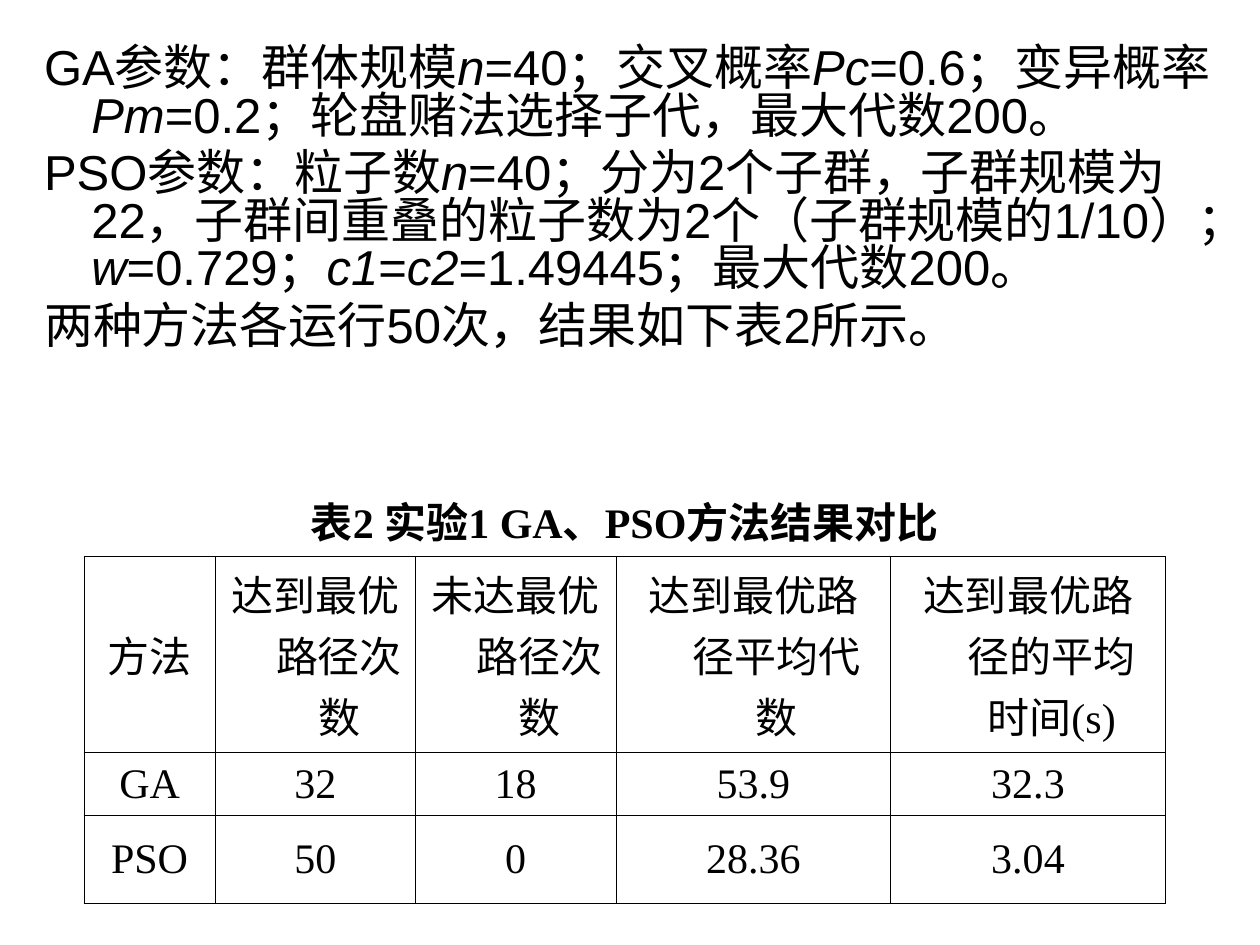
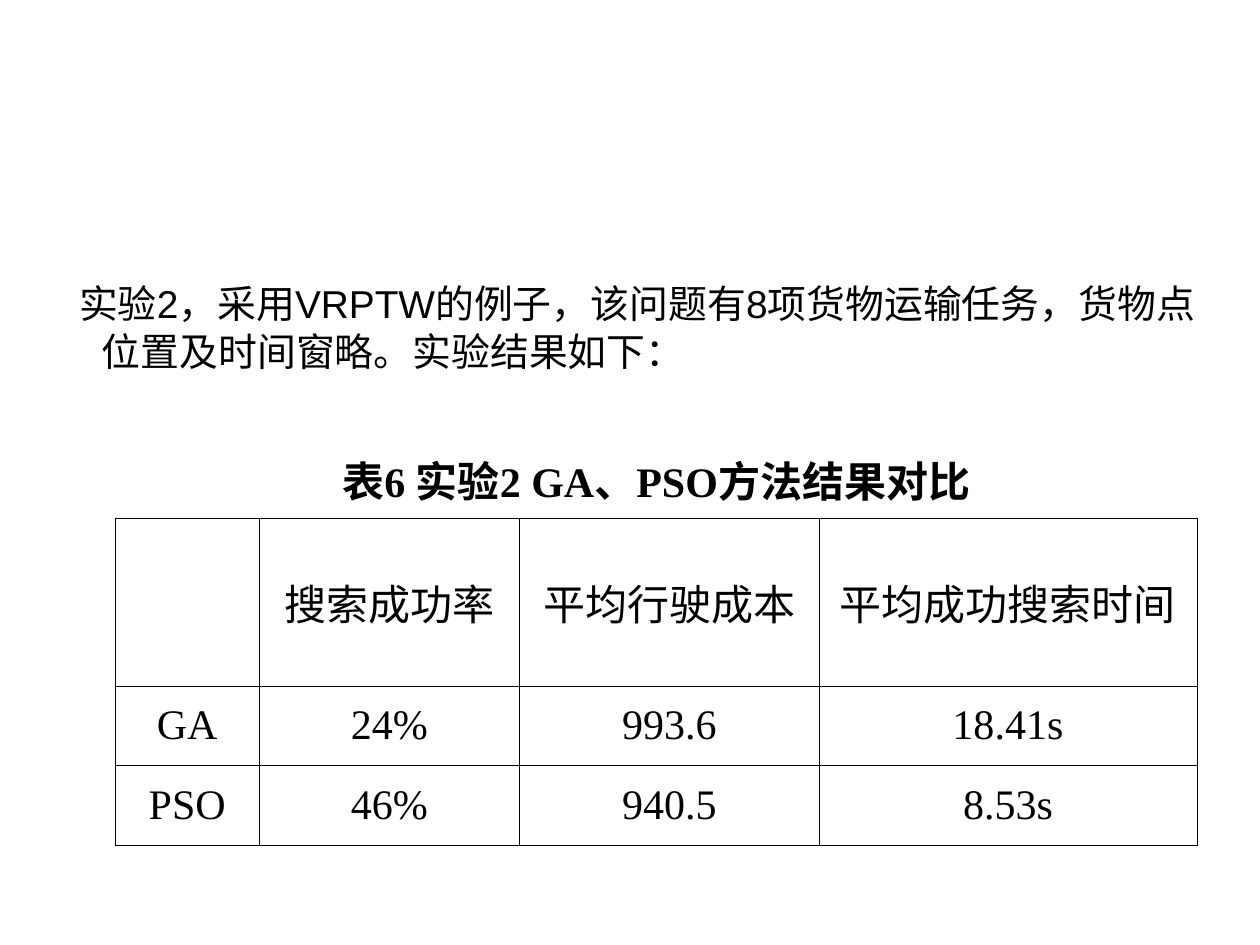
from lxml import etree
from pptx import Presentation
from pptx.dml.color import RGBColor
from pptx.enum.lang import MSO_LANGUAGE_ID
from pptx.enum.text import MSO_ANCHOR, MSO_AUTO_SIZE, PP_ALIGN
from pptx.oxml.ns import qn
from pptx.util import Pt

BLACK = RGBColor(0, 0, 0)
SANS, SERIF = "Arial", "Times New Roman"
LEFT, CENTER = PP_ALIGN.LEFT, PP_ALIGN.CENTER
MIDDLE, TOP = MSO_ANCHOR.MIDDLE, MSO_ANCHOR.TOP
NO_FIT = MSO_AUTO_SIZE.NONE
CHINESE = MSO_LANGUAGE_ID.SIMPLIFIED_CHINESE
HANG = 27       # hanging indent shared by lists and cells
RULE = 0.45     # table line width
SIDES = ("L", "R", "T", "B")

# Asterisks enclose italic words
PARAMS = [
    "GA参数：群体规模*n*=40；交叉概率*Pc*=0.6；变异概率*Pm*=0.2；"
    "轮盘赌法选择子代，最大代数200。",
    "PSO参数：粒子数*n*=40；分为2个子群，子群规模为22，"
    "子群间重叠的粒子数为2个（子群规模的1/10）；"
    "*w*=0.729；*c1*=*c2*=1.49445；最大代数200。",
    "两种方法各运行50次，结果如下表2所示。",
]
TASK = ["实验2，采用VRPTW的例子，该问题有8项货物运输任务，"
        "货物点位置及时间窗略。实验结果如下："]
PATHS = [
    ["方法", "达到最优路径次数", "未达最优路径次数",
     "达到最优路径平均代数", "达到最优路径的平均时间(s)"],
    ["GA", "32", "18", "53.9", "32.3"],
    ["PSO", "50", "0", "28.36", "3.04"],
]
COSTS = [
    ["", "搜索成功率", "平均行驶成本", "平均成功搜索时间"],
    ["GA", "24%", "993.6", "18.41s"],
    ["PSO", "46%", "940.5", "8.53s"],
]


def write(para, text, size=24, font=SERIF, bold=False, align=LEFT,
          first=-HANG, pitch=None, before=0):
    """Fill a paragraph, with italics between asterisks."""
    props = para._p.get_or_add_pPr()
    props.set("marL", str(Pt(HANG)))
    props.set("indent", str(Pt(first)))
    etree.SubElement(props, qn("a:buNone"))
    para.alignment = align
    para.space_before = Pt(before)
    if pitch:
        para.line_spacing = Pt(pitch)
    for i, part in enumerate(text.split("*")):
        if part:
            run = para.add_run()
            run.text = part
            face = run.font
            face.name, face.size = font, Pt(size)
            face.bold, face.italic = bold, i % 2 == 1
            face.color.rgb = BLACK
            face.language_id = CHINESE


def add_list(slide, box, lines, **style):
    """Place the body placeholder and write its paragraphs."""
    body = slide.placeholders[1]
    body.left, body.top, body.width, body.height = map(Pt, box)
    frame = body.text_frame
    frame.auto_size, frame.vertical_anchor = NO_FIT, TOP
    for i, line in enumerate(lines):
        para = frame.add_paragraph() if i else frame.paragraphs[0]
        write(para, line, font=SANS, pitch=27, before=6 if i else 0, **style)


def set_lines(cell, shown):
    """Rule the named sides of a cell and clear the others."""
    props = cell._tc.get_or_add_tcPr()
    for i, side in enumerate(SIDES):
        line = etree.Element(qn("a:ln" + side), w=str(Pt(RULE)))
        if side in shown:
            fill = etree.SubElement(line, qn("a:solidFill"))
            etree.SubElement(fill, qn("a:srgbClr"), val=str(BLACK))
        else:
            etree.SubElement(line, qn("a:noFill"))
        props.insert(i, line)


def add_grid(slide, left, top, widths, heights, title, rows):
    """Add a table whose unframed first row holds its title."""
    count = len(widths)
    grid = slide.shapes.add_table(
        len(heights), count, Pt(left), Pt(top),
        Pt(sum(widths)), Pt(sum(heights))).table
    grid.first_row = grid.horz_banding = False
    for col, width in zip(grid.columns, widths):
        col.width = Pt(width)
    for row, height in zip(grid.rows, heights):
        row.height = Pt(height)
    grid.cell(0, 0).merge(grid.cell(0, count - 1))
    for r, texts in enumerate([[title] + [""] * (count - 1)] + rows):
        for c, text in enumerate(texts):
            cell = grid.cell(r, c)
            cell.fill.background()
            cell.vertical_anchor = MIDDLE
            set_lines(cell, SIDES if r else "B")
            write(cell.text_frame.paragraphs[0], text,
                  bold=r == 0, align=CENTER)


def add_page(deck):
    """Add a slide that keeps only its body placeholder."""
    slide = deck.slides.add_slide(deck.slide_layouts[1])
    title = slide.shapes.title._element
    title.getparent().remove(title)
    return slide


def main():
    deck = Presentation()
    deck.slide_width, deck.slide_height = Pt(720), Pt(540)

    # Experiment 1: parameters and results
    slide = add_page(deck)
    add_list(slide, (18, 24, 684, 222), PARAMS, size=28)
    add_grid(slide, 48, 276, [75, 114.5, 114.5, 157, 157],
             [42, 112, 36, 50], "表2 实验1 GA、PSO方法结果对比", PATHS)

    # Experiment 2: task and results
    slide = add_page(deck)
    add_list(slide, (24, 156, 672, 62), TASK, size=22.2, first=-13)
    add_grid(slide, 66, 252, [82, 149, 171, 216],
             [44, 96, 45.5, 45.5], "表6 实验2 GA、PSO方法结果对比", COSTS)

    deck.save("out.pptx")


if __name__ == "__main__":
    main()
